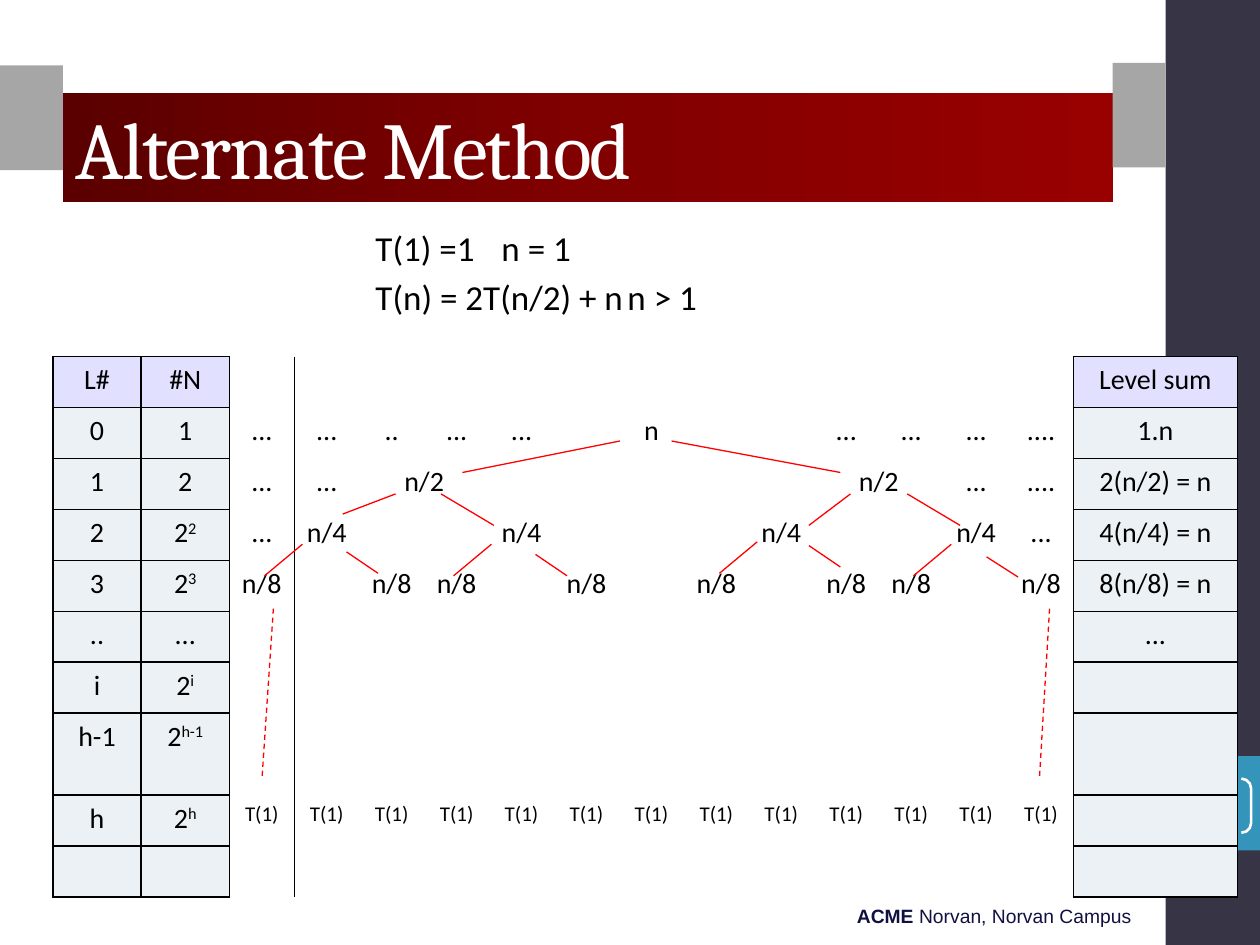
from copy import deepcopy
from pptx import Presentation
from pptx.dml.color import RGBColor
from pptx.enum import dml, shapes, text
from pptx.oxml import ns, xmlchemy
from pptx.util import Inches, Pt

WHITE = RGBColor(0xFF, 0xFF, 0xFF)
BLACK = RGBColor(0, 0, 0)
RED = RGBColor(0xFF, 0, 0)
NAVY = RGBColor(0x10, 0x11, 0x41)
SLATE = RGBColor(0x37, 0x35, 0x45)
TEAL = RGBColor(0x34, 0x94, 0xBA)
GREY = RGBColor(0xA6, 0xA6, 0xA6)
HEAD_FILL = RGBColor(0xE1, 0xE1, 0xFF)
ROW_FILL = RGBColor(0xEB, 0xF1, 0xF5)
TITLE_STOPS = [RGBColor(0x5B, 0, 0), RGBColor(0x81, 0, 0), RGBColor(0x99, 0, 0)]
NO_STYLE = "{2D5ABB26-0587-4C30-8999-92F81FD0307C}"

TITLE = "Alternate Method"
RECURRENCE = [("T(1) =1", "n = 1"), ("T(n) = 2T(n/2) + n", "n > 1")]
FOOTER = [("ACME", True), (" Norvan, Norvan Campus", False)]

PANELS = [  # left, top, width, height, colour
    (9.25, 0, 0.75, 7.5, SLATE),
    (9.25, 6, 0.75, 0.75, TEAL),
    (8.83, 0.5, 0.42, 0.83, GREY),
    (0, 0.52, 0.5, 0.83, GREY),
]

# level, node count as (base, exponent), level sum
LEVELS = [
    ("L#", ("#N", ""), "Level sum"),
    ("0", ("1", ""), "1.n"),
    ("1", ("2", ""), "2(n/2) = n"),
    ("2", ("2", "2"), "4(n/4) = n"),
    ("3", ("2", "3"), "8(n/8) = n"),
    ("..", ("...", ""), "..."),
    ("i", ("2", "i"), ""),
    ("h-1", ("2", "h-1"), ""),
    ("h", ("2", "h"), ""),
    ("", ("", ""), ""),
]
TREE_COLS = 13
# table row: {tree column: text}
TREE = {
    1: {0: "...", 1: "...", 2: "..", 3: "...", 4: "...", 6: "n",
        9: "...", 10: "...", 11: "...", 12: "...."},
    2: {0: "...", 1: "...", 2: "n/2", 9: "n/2", 11: "...", 12: "...."},
    3: {0: "...", 1: "n/4", 4: "n/4", 8: "n/4", 11: "n/4 ", 12: "..."},
    4: {c: "n/8" for c in (0, 2, 3, 5, 7, 9, 10, 12)},
    8: {c: "T(1)" for c in range(TREE_COLS)},
}
LEAF_ROW = 8
WIDE_NODES = [(2, 2), (2, 9)]  # table row, tree column: two columns wide

BRANCHES = [  # x1, y1, x2, y2
    (4.92, 3.5, 3.67, 3.75), (5.33, 3.5, 6.67, 3.75),
    (3.14, 3.92, 2.72, 4.08), (3.5, 3.92, 3.92, 4.17),
    (6.75, 3.92, 6.42, 4.17), (7.2, 3.92, 7.62, 4.17),
    (2.4, 4.32, 2.1, 4.57), (2.75, 4.38, 3, 4.55),
    (3.9, 4.32, 3.6, 4.57), (4.25, 4.4, 4.5, 4.57),
    (6.01, 4.3, 5.71, 4.55), (6.42, 4.33, 6.67, 4.5),
    (7.55, 4.32, 7.25, 4.57), (7.83, 4.42, 8.08, 4.58),
]
DOWN_TO_LEAVES = [(2.17, 4.83, 2.08, 6.17), (8.33, 4.83, 8.25, 6.17)]

TABLE_X, TABLE_Y, TABLE_W, TABLE_H = 0.42, 2.83, 9.4, 4.29
LEVEL_W, SUM_W, TALL_ROW, TALL_H = 0.7, 1.3, 7, 0.65


def place(shape, *box):
    shape.left, shape.top, shape.width, shape.height = map(Inches, box)


def add_run(p, content, size, color=BLACK, font="Calibri", bold=False):
    r = p.add_run()
    r.text = content
    r.font.size, r.font.name, r.font.bold = Pt(size), font, bold
    r.font.color.rgb = color
    return r


def add_preset(s, kind, *box):
    shape = s.shapes.add_shape(kind, *map(Inches, box))
    shape.shadow.inherit = False
    return shape


def add_branch(s, ends, dashed=False):
    line = s.shapes.add_connector(shapes.MSO_CONNECTOR.STRAIGHT, *map(Inches, ends))
    line.line.color.rgb, line.line.width = RED, Pt(0.75)
    if dashed:
        line.line.dash_style = dml.MSO_LINE.DASH
    xmlchemy.OxmlElement  # noqa: B018
    line._element.spPr.append(xmlchemy.OxmlElement("a:effectLst"))


def set_borders(cell, sides):
    tcPr = cell._tc.get_or_add_tcPr()
    for side in sides:
        ln = xmlchemy.OxmlElement("a:ln" + side)
        ln.set("w", str(Pt(1)))
        fill = xmlchemy.OxmlElement("a:solidFill")
        clr = xmlchemy.OxmlElement("a:srgbClr")
        clr.set("val", str(BLACK))
        fill.append(clr)
        ln.append(fill)
        tcPr.append(ln)


def fill_cell(cell, base, exponent="", size=16, sides="", color=None):
    set_borders(cell, sides)
    if color is None:
        cell.fill.background()
    else:
        cell.fill.solid()
        cell.fill.fore_color.rgb = color
    p = cell.text_frame.paragraphs[0]
    p.alignment = text.PP_ALIGN.CENTER
    if base:
        add_run(p, base, size)
    if exponent:
        r = add_run(p, exponent, size)
        r.font._element.set("baseline", "30000")


def add_title(s):
    title = s.shapes.title
    place(title, 0.5, 0.74, 8.33, 0.86)
    title.fill.gradient()
    title.fill.gradient_angle = 0
    stops = title._element.spPr.find(".//" + ns.qn("a:gsLst"))
    stops.insert(1, deepcopy(stops[0]))
    for i, (stop, color) in enumerate(zip(title.fill.gradient_stops, TITLE_STOPS)):
        stop.position, stop.color.rgb = i / 2, color
    tf = title.text_frame
    tf.auto_size, tf.vertical_anchor = text.MSO_AUTO_SIZE.NONE, text.MSO_ANCHOR.MIDDLE
    p = tf.paragraphs[0]
    p.alignment = text.PP_ALIGN.LEFT
    r = add_run(p, TITLE, 46, WHITE, "Cambria")
    r.font._element.set("spc", "-100")


def add_recurrence(s):
    body = s.placeholders[1]
    place(body, 0.5, 1.75, 8.33, 5.25)
    tf = body.text_frame
    tf.auto_size, tf.margin_left = text.MSO_AUTO_SIZE.NONE, Inches(2.48)
    for i, (formula, condition) in enumerate(RECURRENCE):
        p = tf.add_paragraph() if i else tf.paragraphs[0]
        p.space_before = Pt(4)
        pPr = p._p.get_or_add_pPr()
        pPr.set("marL", "0")
        pPr.set("indent", "0")
        pPr.append(xmlchemy.OxmlElement("a:buNone"))
        tabs = xmlchemy.OxmlElement("a:tabLst")
        tab = xmlchemy.OxmlElement("a:tab")
        tab.set("pos", str(Inches(3)))
        tab.set("algn", "l")
        tabs.append(tab)
        pPr.append(tabs)
        add_run(p, f"{formula}\t{condition}", 20)


def add_level_table(s):
    frame = s.shapes.add_table(len(LEVELS), TREE_COLS + 3,
                               *map(Inches, (TABLE_X, TABLE_Y, TABLE_W, TABLE_H)))
    table = frame.table
    table.first_row = table.horz_banding = False
    table._tbl.tblPr.find(ns.qn("a:tableStyleId")).text = NO_STYLE
    tree_w = (TABLE_W - 2 * LEVEL_W - SUM_W) / TREE_COLS
    for col, w in zip(table.columns, [LEVEL_W] * 2 + [tree_w] * TREE_COLS + [SUM_W]):
        col.width = Inches(w)
    row_h = (TABLE_H - TALL_H) / (len(LEVELS) - 1)
    for i, (level, nodes, total) in enumerate(LEVELS):
        table.rows[i].height = Inches(TALL_H if i == TALL_ROW else row_h)
        color = ROW_FILL if i else HEAD_FILL
        for c, parts in ((0, (level,)), (1, nodes), (TREE_COLS + 2, (total,))):
            fill_cell(table.cell(i, c), *parts, sides="LRTB", color=color)
        for c in range(TREE_COLS):
            fill_cell(table.cell(i, c + 2), TREE.get(i, {}).get(c, ""),
                      size=12 if i == LEAF_ROW else 16,
                      sides={0: "L", TREE_COLS - 1: "R"}.get(c, ""))
    for row, c in WIDE_NODES:
        table.cell(row, c + 2).merge(table.cell(row, c + 3))


prs = Presentation()
prs.slide_width, prs.slide_height = Inches(10), Inches(7.5)
s = prs.slides.add_slide(prs.slide_layouts[1])

for *box, color in PANELS:
    panel = add_preset(s, shapes.MSO_SHAPE.RECTANGLE, *box)
    panel.fill.solid()
    panel.fill.fore_color.rgb = color
    panel.line.fill.background()

footer = s.shapes.add_textbox(*map(Inches, (2.66, 7.13, 6.42, 0.29)))
footer.text_frame.word_wrap = True
footer_p = footer.text_frame.paragraphs[0]
footer_p.alignment = text.PP_ALIGN.RIGHT
for words, bold in FOOTER:
    add_run(footer_p, words, 11, NAVY, "Arial", bold)

add_title(s)
add_recurrence(s)

bracket = add_preset(s, shapes.MSO_SHAPE.DOUBLE_BRACKET, 9.33, 6.18, 0.6, 0.43)
bracket.adjustments[0] = 0.18
bracket.fill.background()
bracket.line.color.rgb, bracket.line.width = WHITE, Pt(1.5)

add_level_table(s)
for ends in BRANCHES:
    add_branch(s, ends)
for ends in DOWN_TO_LEAVES:
    add_branch(s, ends, dashed=True)

prs.save("out.pptx")
